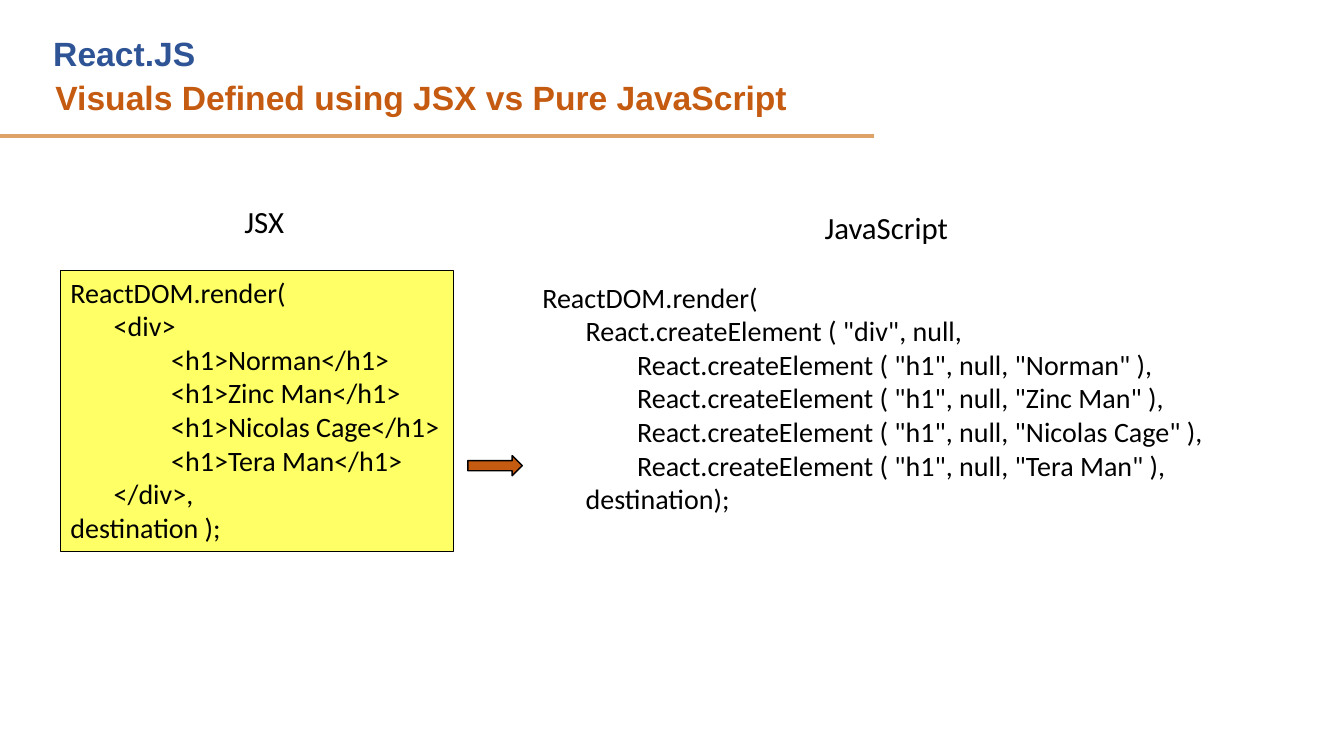
from lxml.etree import SubElement
from pptx import Presentation
from pptx.dml.color import RGBColor
from pptx.enum.shapes import MSO_CONNECTOR, MSO_SHAPE
from pptx.enum.text import MSO_ANCHOR, MSO_AUTO_SIZE, PP_ALIGN
from pptx.oxml.ns import qn
from pptx.util import Inches, Pt

COLORS = {
    "rule": "DFA267",
    "orange": "C55A11",
    "blue": "2F5496",
    "yellow": "FFFF66",
    "black": "000000",
}
HEADING = {"name": "Arial", "size": Pt(24), "bold": True}
LABEL = {"name": "Calibri", "size": Pt(22), "bold": False}
CODE = {"name": "Calibri", "size": Pt(20), "bold": False}

HEROES = ["Norman", "Zinc Man", "Nicolas Cage", "Tera Man"]
JSX_LINES = [
    (0, "ReactDOM.render("),
    (0.43, "<div>"),
    *[(1, f"<h1>{hero}</h1>") for hero in HEROES],
    (0.43, "</div>,"),
    (0, "destination );"),
]
JAVASCRIPT_LINES = [
    (0, "ReactDOM.render("),
    (0.43, 'React.createElement ( "div", null,'),
    *[(0.94, f'React.createElement ( "h1", null, "{hero}" ),') for hero in HEROES],
    (0.43, "destination);"),
]


def color(name):
    """Return the named colour."""
    return RGBColor.from_string(COLORS[name])


def place(shape, area):
    """Move and size a shape from left, top, width and height in inches."""
    for side, length in zip(("left", "top", "width", "height"), area):
        setattr(shape, side, Inches(length))


def write(shape, lines, font, color_name="black", align=PP_ALIGN.LEFT, wrap=True):
    """Fill a shape with paragraphs given as pairs of indent and text."""
    frame = shape.text_frame
    settings = {
        "word_wrap": wrap,
        "auto_size": MSO_AUTO_SIZE.NONE,
        "vertical_anchor": MSO_ANCHOR.TOP,
        "margin_left": Inches(0.1),
        "margin_right": Inches(0.1),
        "margin_top": Inches(0.05),
        "margin_bottom": Inches(0.05),
    }
    for name, value in settings.items():
        setattr(frame, name, value)
    for index, (indent, text) in enumerate(lines):
        para = frame.paragraphs[0] if index == 0 else frame.add_paragraph()
        para.alignment = align
        if indent:
            properties = para._p.get_or_add_pPr()
            properties.set("marL", str(Inches(indent)))
            properties.set("indent", "0")
        span = para.add_run()
        span.text = text
        for name, value in font.items():
            setattr(span.font, name, value)
        span.font.color.rgb = color(color_name)


def add_text(page, area, lines, font, **options):
    """Add a text box."""
    box = page.shapes.add_textbox(*map(Inches, area))
    write(box, lines, font, **options)


def add_block(page, kind, area, fill, line_width):
    """Add a filled shape with a black outline."""
    block = page.shapes.add_shape(kind, *map(Inches, area))
    block.shadow.inherit = False
    block.fill.solid()
    block.fill.fore_color.rgb = color(fill)
    block.line.color.rgb = color("black")
    block.line.width = Pt(line_width)
    return block


def add_rule(page, top, width):
    """Add the line under the heading."""
    rule = page.shapes.add_connector(
        MSO_CONNECTOR.STRAIGHT, 0, Inches(top), Inches(width), Inches(top)
    )
    rule.line.color.rgb = color("rule")
    rule.line.width = Pt(3)
    SubElement(rule._element.spPr, qn("a:effectLst"))


def main():
    """Build the slide and save it."""
    deck = Presentation()
    deck.slide_width, deck.slide_height = Inches(13.33), Inches(7.5)
    page = deck.slides.add_slide(deck.slide_layouts[5])

    add_rule(page, 1.35, 8.67)
    title = page.shapes.title
    place(title, (0.45, 0.71, 8.75, 0.5))
    write(title, [(0, "Visuals Defined using JSX vs Pure JavaScript")], HEADING, "orange")
    add_text(page, (0.43, 0.28, 8.2, 0.51), [(0, "React.JS")], HEADING, color_name="blue")

    jsx = add_block(page, MSO_SHAPE.RECTANGLE, (0.6, 2.68, 3.9, 2.79), "yellow", 0.75)
    write(jsx, JSX_LINES, CODE)
    labels = {"JSX": (2.32, 1.96, 0.6, 0.47), "JavaScript": (8.07, 2.02, 1.44, 0.47)}
    for text, area in labels.items():
        add_text(page, area, [(0, text)], LABEL, align=PP_ALIGN.CENTER, wrap=False)
    add_text(page, (5.28, 2.73, 6.88, 2.46), JAVASCRIPT_LINES, CODE)
    add_block(page, MSO_SHAPE.RIGHT_ARROW, (4.64, 4.52, 0.54, 0.2), "orange", 1)

    deck.save("out.pptx")


if __name__ == "__main__":
    main()
